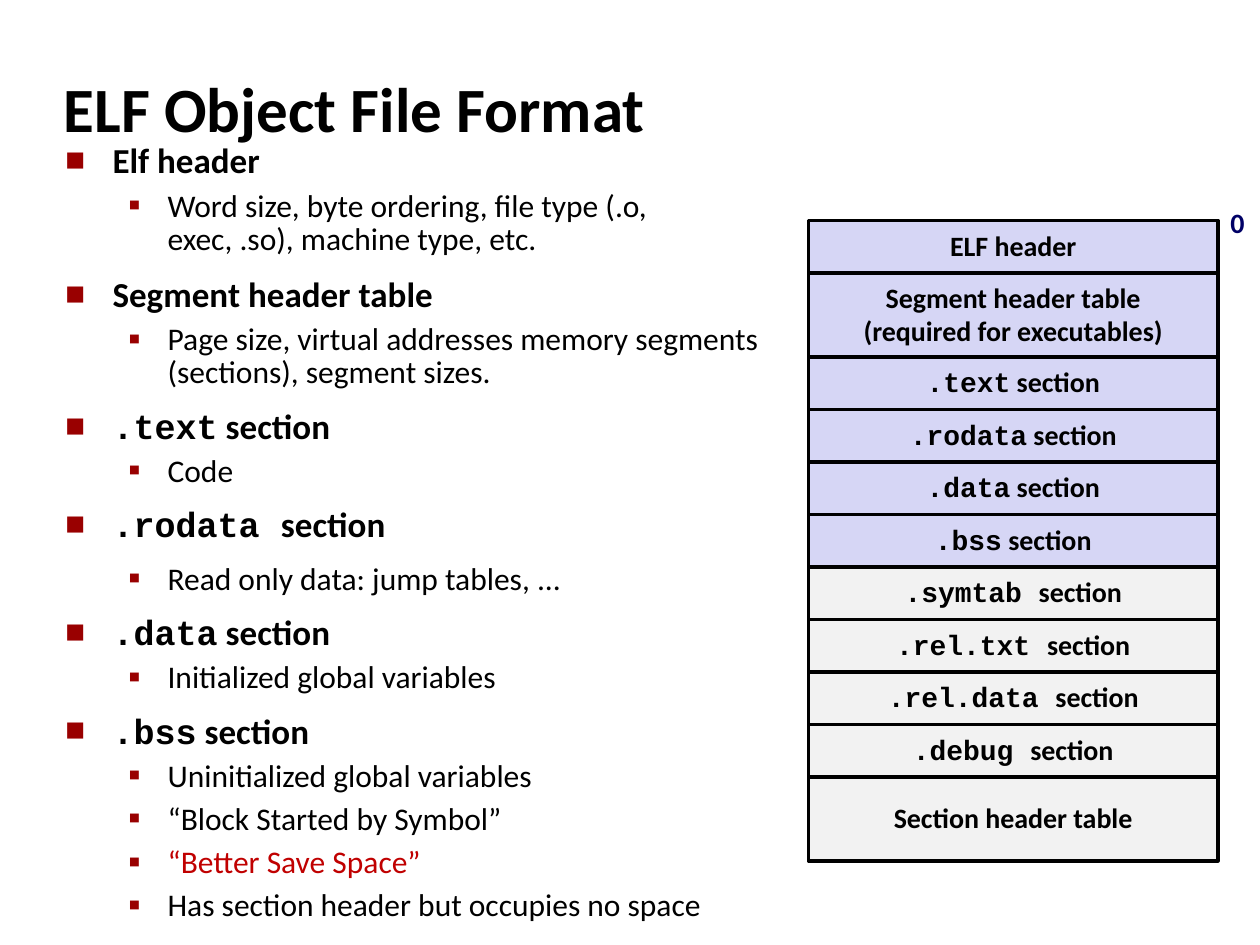
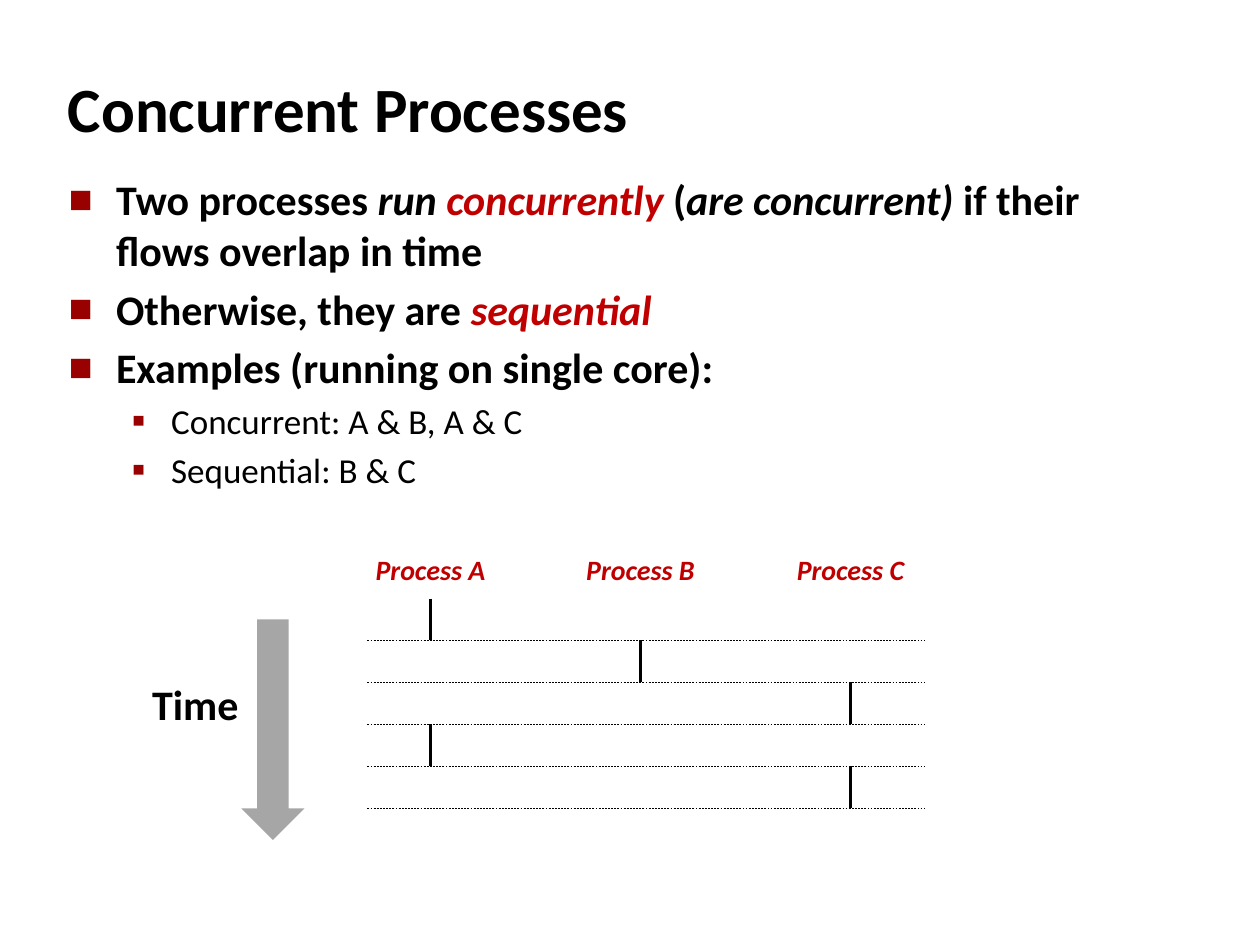
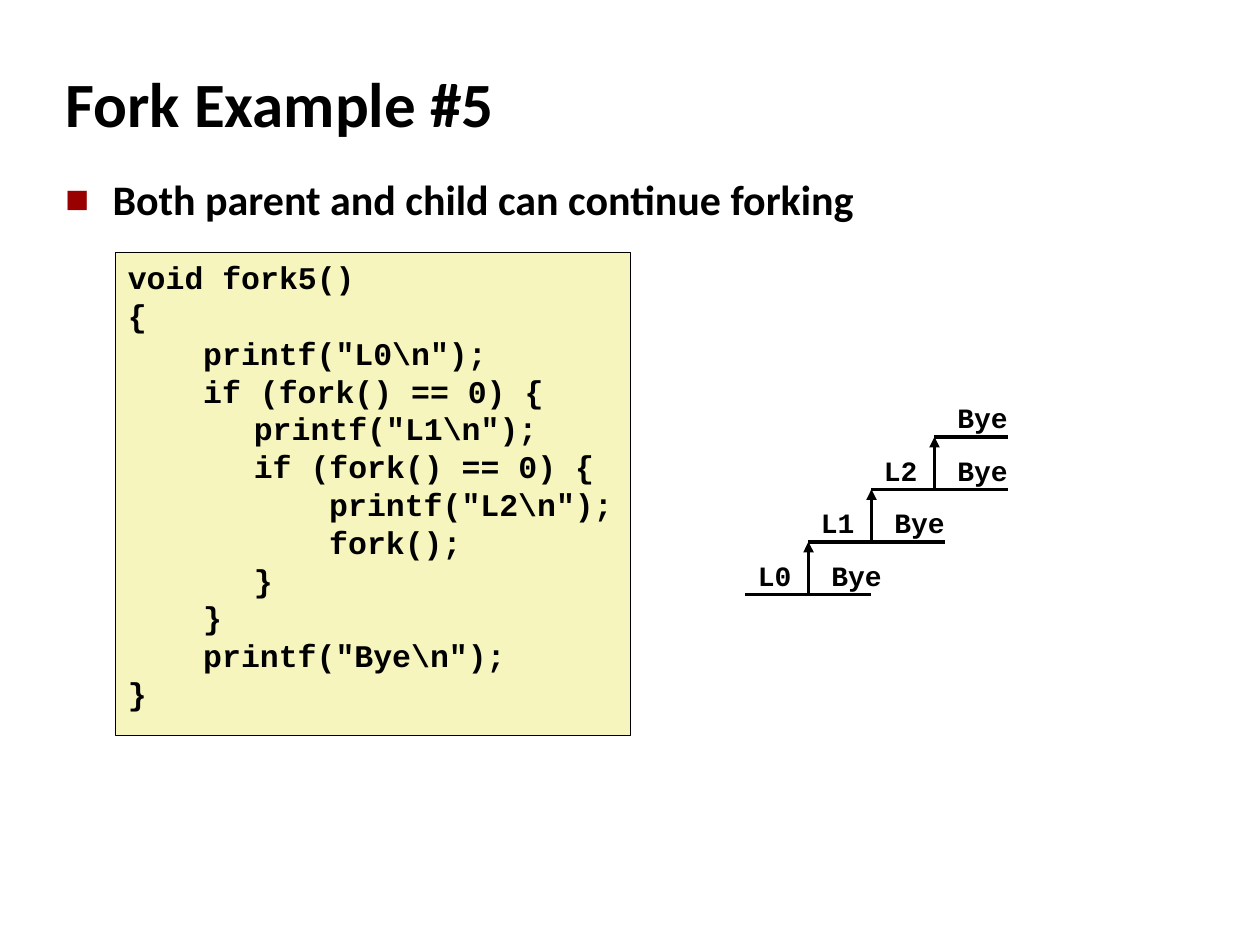
"""Build three lecture slides on ELF files, concurrent processes and fork."""
import pptx
import pptx.dml.color
import pptx.enum.dml
import pptx.enum.shapes
import pptx.enum.text
import pptx.oxml
import pptx.oxml.ns
import pptx.util
from lxml import etree

Cm, Pt = pptx.util.Cm, pptx.util.Pt
ALIGN = pptx.enum.text.PP_ALIGN
ANCHOR = pptx.enum.text.MSO_ANCHOR
SHAPE = pptx.enum.shapes.MSO_SHAPE

COLORS = {
    "ink": "000000", "accent": "C00000", "bullet": "990000", "address": "000066",
    "loaded": "D6D6F5", "unloaded": "F2F2F2", "arrow": "A6A6A6", "code": "F6F5BD",
}
SANS, MONO = "Calibri", "Courier New"

TOP = {"bold": True, "margin": 0.95, "hang": 0.95, "bullet": ("■", 60)}
SUB = {"bold": False, "margin": 2.06, "hang": 0.79, "bullet": ("▪", 110)}
LEVELS = {
    "part": TOP | {"size": 20, "spacing": 0.83, "before": 12.5},
    "section": TOP | {"size": 20, "spacing": 0.8, "before": 12.5},
    "note": SUB | {"size": 18, "spacing": 0.88, "before": 5.6},
    "loose note": SUB | {"size": 18, "spacing": 0.8, "before": 12.5},
    "point": TOP | {"size": 24, "before": 4.8},
    "detail": SUB | {"size": 20, "before": 4},
}

ELF_OUTLINE = [
    ("part", "Elf header"),
    ("note", "Word size, byte ordering, file type (.o, exec, .so), machine type, etc."),
    ("part", "Segment header table"),
    ("note", "Page size, virtual addresses memory segments (sections), segment sizes."),
    ("section", [(".text", "mono"), " section"]),
    ("note", "Code"),
    ("section", [(".rodata ", "mono"), "section"]),
    ("loose note", "Read only data: jump tables, ..."),
    ("section", [(".data", "mono"), " section"]),
    ("note", "Initialized global variables"),
    ("section", [(".bss", "mono"), " section"]),
    ("note", "Uninitialized global variables"),
    ("note", "“Block Started by Symbol”"),
    ("note", [("“Better Save Space”", "accent")]),
    ("note", "Has section header but occupies no space"),
]
FILE_LAYOUT = [
    ("loaded", 5, ["ELF header"]),
    ("loaded", 8, ["Segment header table", "(required for executables)"]),
    ("loaded", 5, [[(".text", "mono"), " section"]]),
    ("loaded", 5, [[(".rodata", "mono"), " section"]]),
    ("loaded", 5, [[(".data", "mono"), " section"]]),
    ("loaded", 5, [[(".bss", "mono"), " section"]]),
    ("unloaded", 5, [[(".symtab ", "mono"), "section"]]),
    ("unloaded", 5, [[(".rel.txt ", "mono"), "section"]]),
    ("unloaded", 5, [[(".rel.data ", "mono"), "section"]]),
    ("unloaded", 5, [[(".debug ", "mono"), "section"]]),
    ("unloaded", 8, ["Section header table"]),
]
CONCURRENCY_OUTLINE = [
    ("point", ["Two processes ", ("run ", "italic"), ("concurrently", "accent italic"),
               " (", ("are concurrent)", "italic"), " if their flows overlap in time"]),
    ("point", ["Otherwise, they are ", ("sequential", "accent italic")]),
    ("point", "Examples (running on single core):"),
    ("detail", "Concurrent: A & B, A & C"),
    ("detail", "Sequential: B & C"),
]
PROCESSES = {"A": 41, "B": 61, "C": 81}
SCHEDULE = "ABCAC"
FORK_OUTLINE = [("point", "Both parent and child can continue forking")]
FORK_CODE = [
    (0, "void fork5()"),
    (0, "{"),
    (1.52, 'printf("L0\\n");'),
    (1.52, "if (fork() == 0) {"),
    (2.54, 'printf("L1\\n");'),
    (2.54, "if (fork() == 0) {"),
    (4.06, 'printf("L2\\n");'),
    (4.06, "fork();"),
    (2.54, "}"),
    (1.52, "}"),
    (1.52, 'printf("Bye\\n");'),
    (0, "}"),
]
FORK_LEVELS = [("L0", 71, 77, 83), ("L1", 77, 83, 90), ("L2", 83, 89, 96), (None, 89, 89, 96)]


def grid(*steps):
    """Turn twelfths of an inch into lengths."""
    return [Cm(2.54 * step / 12) for step in steps]


def rgb(name):
    """Look up a named colour."""
    return pptx.dml.color.RGBColor.from_string(COLORS[name])


def write(paragraph, content, size, bold=True, color="ink"):
    """Fill a paragraph with plain or (text, style) pieces."""
    pieces = [content] if isinstance(content, str) else content
    for piece in pieces:
        text, style = (piece, "") if isinstance(piece, str) else piece
        run = paragraph.add_run()
        run.text = text
        run.font.name = MONO if "mono" in style else SANS
        run.font.size = Pt(size)
        run.font.bold = bold
        run.font.italic = "italic" in style
        run.font.color.rgb = rgb("accent" if "accent" in style else color)


def paragraphs(frame, count):
    """Yield the given number of paragraphs of a frame."""
    yield frame.paragraphs[0]
    for _ in range(count - 1):
        yield frame.add_paragraph()


def add_text(slide, box, content, size, wrap=False, **style):
    """Add a one-paragraph text box and return its frame."""
    frame = slide.shapes.add_textbox(*box).text_frame
    frame.word_wrap = wrap
    write(frame.paragraphs[0], content, size, **style)
    return frame


def add_outline(slide, box, outline):
    """Add the bulleted body text."""
    frame = slide.shapes.add_textbox(*map(Cm, box)).text_frame
    frame.word_wrap = True
    for paragraph, (name, content) in zip(paragraphs(frame, len(outline)), outline):
        level = LEVELS[name]
        write(paragraph, content, level["size"], level["bold"])
        paragraph.line_spacing = level.get("spacing")
        paragraph.space_before = Pt(level["before"])
        mark, percent = level["bullet"]
        props = paragraph._p.get_or_add_pPr()
        props.set("marL", str(Cm(level["margin"])))
        props.set("indent", str(-Cm(level["hang"])))
        for xml in (f'<a:buClr %s><a:srgbClr val="{COLORS["bullet"]}"/></a:buClr>',
                    f'<a:buSzPct %s val="{percent * 1000}"/>',
                    f'<a:buFont %s typeface="{SANS}"/>',
                    f'<a:buChar %s char="{mark}"/>'):
            props.append(pptx.oxml.parse_xml(xml % pptx.oxml.ns.nsdecls("a")))


def add_block(slide, kind, box, fill, line_width=None):
    """Add a flat filled shape."""
    block = slide.shapes.add_shape(kind, *box)
    block.shadow.inherit = False
    block.fill.solid()
    block.fill.fore_color.rgb = rgb(fill)
    if line_width is None:
        block.line.fill.background()
    else:
        block.line.color.rgb = rgb("ink")
        block.line.width = Pt(line_width)
    return block


def add_line(slide, x1, y1, x2, y2, width=2, dashed=False, arrow=False):
    """Draw a straight line between two grid points."""
    line = slide.shapes.add_connector(
        pptx.enum.shapes.MSO_CONNECTOR.STRAIGHT, *grid(x1, y1, x2, y2))
    line.line.color.rgb = rgb("ink")
    line.line.width = Pt(width)
    if dashed:
        line.line.dash_style = pptx.enum.dml.MSO_LINE.DASH
    if arrow:
        etree.SubElement(line.line._get_or_add_ln(),
                         pptx.oxml.ns.qn("a:tailEnd"), type="triangle")
    etree.SubElement(line._element.spPr, pptx.oxml.ns.qn("a:effectLst"))


def new_slide(deck, title, title_box, outline, outline_box):
    """Add a blank slide with its title and bulleted text."""
    slide = deck.slides.add_slide(deck.slide_layouts[6])
    heading = add_text(slide, map(Cm, title_box), title, 36, wrap=True)
    heading.vertical_anchor = ANCHOR.MIDDLE
    add_outline(slide, outline_box, outline)
    return slide


def build_elf(deck):
    """Build the ELF slide with its stack of file sections."""
    slide = new_slide(deck, "ELF Object File Format", (1.04, 1.07, 24.2, 2.18),
                      ELF_OUTLINE, (1.07, 2.82, 14.86, 14.96))
    top = 21
    for fill, height, lines in FILE_LAYOUT:
        section = add_block(slide, SHAPE.RECTANGLE, grid(77, top, 39, height), fill, 2)
        frame = section.text_frame
        frame.word_wrap = False
        frame.vertical_anchor = ANCHOR.MIDDLE
        for paragraph, content in zip(paragraphs(frame, len(lines)), lines):
            paragraph.alignment = ALIGN.CENTER
            paragraph.line_spacing = 0.98 if isinstance(content, str) else 0.94
            write(paragraph, content, 16)
        top += height
    add_text(slide, grid(116, 19, 3.7, 4.4), "0", 16, color="address")


def build_concurrency(deck):
    """Build the process slide with its time chart."""
    slide = new_slide(deck, "Concurrent Processes", (1.12, 1.37, 16.87, 1.6),
                      CONCURRENCY_OUTLINE, (1.14, 3.38, 21.95, 7.19))
    for process, x in PROCESSES.items():
        label = add_text(slide, grid(x - 6.5, 52, 13, 4.4),
                         [(f"Process {process}", "accent italic")], 16)
        label.paragraphs[0].alignment = ALIGN.CENTER
    for turn, process in enumerate(SCHEDULE):
        x, start, end = PROCESSES[process], 57 + 4 * turn, 61 + 4 * turn
        add_line(slide, x, start, x, end)
        add_line(slide, 35, end, 88, end, width=0.25, dashed=True)
    add_text(slide, grid(13.3, 64, 10.7, 6), "Time", 24)
    add_block(slide, SHAPE.DOWN_ARROW, grid(23, 59, 6, 21), "arrow")


def build_fork(deck):
    """Build the fork slide with its code and process graph."""
    slide = new_slide(deck, "Fork Example #5", (1.07, 1.27, 14.15, 1.6),
                      FORK_OUTLINE, (1.07, 3.38, 21.95, 2.13))
    listing = add_block(slide, SHAPE.RECTANGLE, grid(11, 24, 49, 46), "code", 0.25)
    frame = listing.text_frame
    frame.word_wrap = True
    frame.margin_right = 0
    frame.vertical_anchor = ANCHOR.TOP
    for paragraph, (indent, code) in zip(paragraphs(frame, len(FORK_CODE)), FORK_CODE):
        paragraph.alignment = ALIGN.LEFT
        paragraph._p.get_or_add_pPr().set("marL", str(Cm(indent)))
        write(paragraph, [(code, "mono")], 18)
    for depth, (label, start, fork, end) in enumerate(FORK_LEVELS):
        y = 56.6 - 5 * depth
        add_line(slide, fork, y, end, y)
        add_text(slide, grid(fork + 1, y - 4, 7.2, 4.4), [("Bye", "mono")], 16)
        if label:
            add_line(slide, start, y, fork, y)
            add_line(slide, fork, y, fork, y - 5, arrow=True)
            add_text(slide, grid(start, y - 4, 5.6, 4.4), [(label, "mono")], 16)


def main():
    """Build and save the deck."""
    deck = pptx.Presentation()
    deck.slide_width, deck.slide_height = Cm(25.4), Cm(19.05)
    for build in (build_elf, build_concurrency, build_fork):
        build(deck)
    deck.save("out.pptx")


if __name__ == "__main__":
    main()
